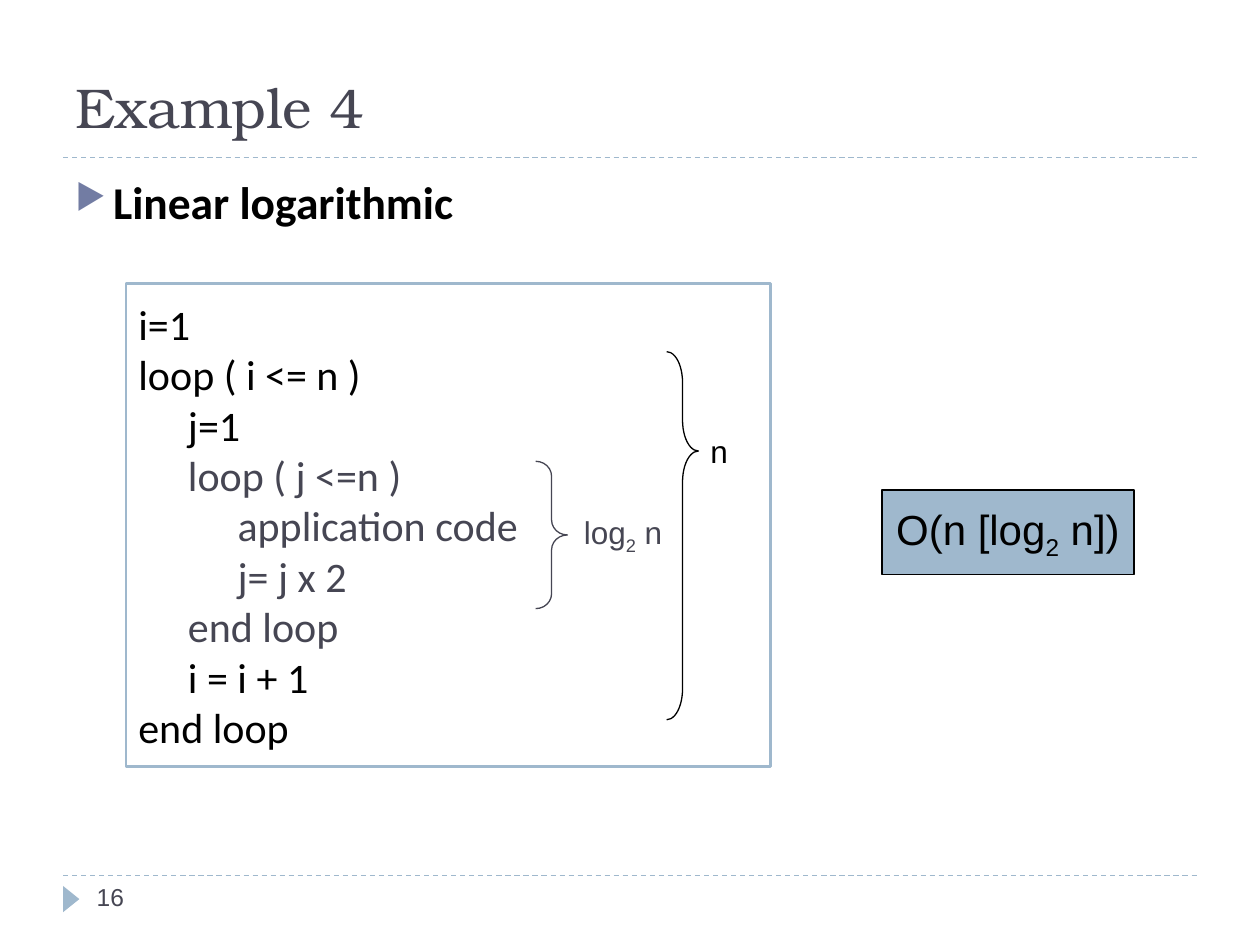
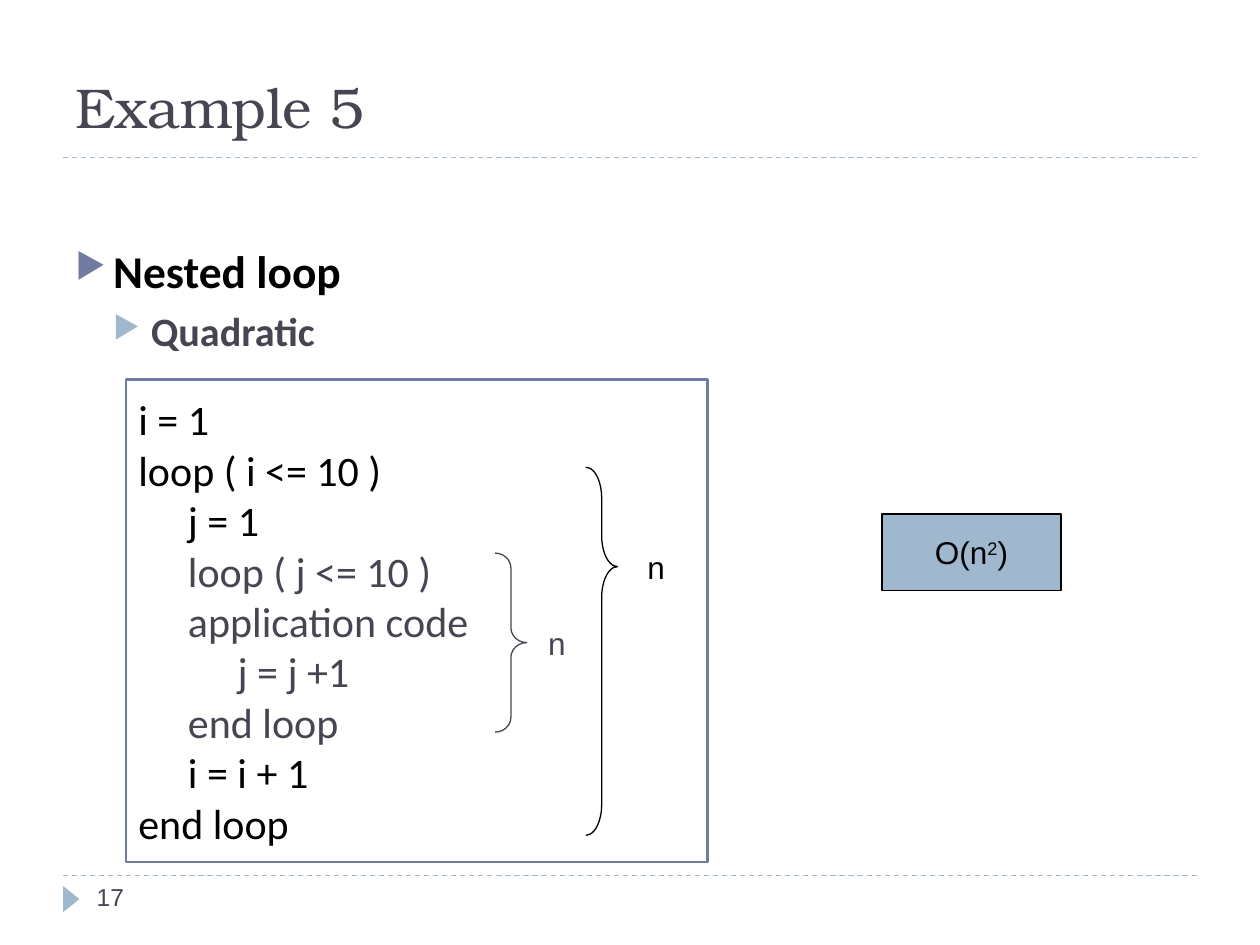
from lxml.etree import SubElement
from pptx import Presentation
from pptx.dml.color import RGBColor
from pptx.enum.dml import MSO_LINE
from pptx.enum.shapes import MSO_CONNECTOR, MSO_SHAPE
from pptx.enum.text import MSO_ANCHOR as ANCHOR, PP_ALIGN as ALIGN
from pptx.oxml.ns import qn
from pptx.util import Cm, Pt

INK = "464653"
BLACK = "000000"
WHITE = "FFFFFF"
STEEL = "9FB8CD"
SLATE = "727CA3"
TITLE_FONT = "TeX Gyre Bonum"
CODE_FONT = "Calibri"
LABEL_FONT = "Arial"
LABEL_H = 1.02
BRACE_W = 0.64


def rgb(value):
    return RGBColor.from_string(value)


def add_run(p, text, size, font, color, bold=False, baseline=0):
    r = p.add_run()
    r.text = text
    r.font.size = Pt(size)
    r.font.name = font
    r.font.bold = bold
    r.font.color.rgb = rgb(color)
    if baseline:
        r._r.get_or_add_rPr().set("baseline", str(baseline * 1000))


def add_parts(p, parts, size, color):
    for text, baseline in parts:
        add_run(p, text, size, LABEL_FONT, color, baseline=baseline)


def add_text(s, x, y, w, h, anchor=ANCHOR.TOP):
    tf = s.shapes.add_textbox(Cm(x), Cm(y), Cm(w), Cm(h)).text_frame
    tf.word_wrap = True
    tf.vertical_anchor = anchor
    return tf


def add_shape(s, kind, x, y, w, h, fill=None, line=None, width=0.75):
    sp = s.shapes.add_shape(kind, Cm(x), Cm(y), Cm(w), Cm(h))
    sp.shadow.inherit = False
    if fill:
        sp.fill.solid()
        sp.fill.fore_color.rgb = rgb(fill)
    else:
        sp.fill.background()
    if line:
        sp.line.color.rgb = rgb(line)
        sp.line.width = Pt(width)
    else:
        sp.line.fill.background()
    return sp


def add_rule(s, y):
    line = s.shapes.add_connector(
        MSO_CONNECTOR.STRAIGHT, Cm(1.27), Cm(y), Cm(24.13), Cm(y))
    line.line.color.rgb = rgb(STEEL)
    line.line.width = Pt(0.75)
    line.line.dash_style = MSO_LINE.DASH
    SubElement(line._element.spPr, qn("a:effectLst"))


def add_base(prs, title, number):
    s = prs.slides.add_slide(prs.slide_layouts[6])
    add_rule(s, 17.65)
    add_rule(s, 3.18)
    marker = add_shape(s, MSO_SHAPE.ISOSCELES_TRIANGLE,
                       1.17, 17.96, 0.53, 0.33, STEEL)
    marker.rotation = 90
    tf = add_text(s, 1.27, 0.33, 20.96, 2.62, ANCHOR.BOTTOM)
    add_run(tf.paragraphs[0], title, 32, TITLE_FONT, INK)
    tf = add_text(s, 1.7, 17.65, 5.51, LABEL_H)
    add_run(tf.paragraphs[0], str(number), 14, LABEL_FONT, INK)
    return s


def indent(p, left, first=0):
    pPr = p._p.get_or_add_pPr()
    pPr.set("marL", str(Cm(left)))
    pPr.set("indent", str(Cm(first)))
    return pPr


def add_bullets(s, y, items):
    styles = [(26, BLACK, SLATE, 6), (23, INK, STEEL, 5)]
    tf = add_text(s, 1.27, y, 22.43, 13)
    for level, text in enumerate(items):
        size, color, bullet, before = styles[level]
        p = tf.paragraphs[0] if level == 0 else tf.add_paragraph()
        p.level = level
        p.space_before = Pt(before)
        pPr = indent(p, 0.76 * (level + 1), -0.76)
        clr = SubElement(pPr, qn("a:buClr"))
        SubElement(clr, qn("a:srgbClr"), val=bullet)
        SubElement(pPr, qn("a:buSzPct"), val="76000")
        SubElement(pPr, qn("a:buChar"), char="▶")
        add_run(p, text, size, CODE_FONT, color, bold=True)


def add_code(s, y, w, border, lines):
    sp = add_shape(s, MSO_SHAPE.RECTANGLE, 2.54, y, w, 9.73,
                   WHITE, border, 1.5)
    tf = sp.text_frame
    tf.word_wrap = True
    tf.vertical_anchor = ANCHOR.MIDDLE
    for i, (depth, text) in enumerate(lines):
        p = tf.paragraphs[0] if i == 0 else tf.add_paragraph()
        p.alignment = ALIGN.LEFT
        indent(p, depth)
        add_run(p, text, 24, CODE_FONT, INK if 3 <= i <= 6 else BLACK)


def add_brace(s, x, y, h, curve, tip, color, label_x, parts):
    sp = add_shape(s, MSO_SHAPE.RIGHT_BRACE, x, y, BRACE_W, h, line=color)
    sp.adjustments[0] = curve
    sp.adjustments[1] = tip
    tf = add_text(s, label_x, y + tip * h - LABEL_H / 2, 2.5, LABEL_H,
                  ANCHOR.MIDDLE)
    tf.word_wrap = False
    add_parts(tf.paragraphs[0], parts, 18, color)


def add_inner_brace(s, x, y, h, label_x, parts):
    add_brace(s, x, y, h, 0.47, 0.5, INK, label_x, parts)


def add_outer_brace(s, x, y, label_x):
    add_brace(s, x, y, 7.42, 0.97, 0.27, BLACK, label_x, [("n", 0)])


def add_result(s, y, w, h, size, parts):
    sp = add_shape(s, MSO_SHAPE.RECTANGLE, 17.78, y, w, h, STEEL, BLACK)
    tf = sp.text_frame
    tf.word_wrap = False
    tf.vertical_anchor = ANCHOR.MIDDLE
    p = tf.paragraphs[0]
    p.alignment = ALIGN.CENTER
    p.space_before = Pt(6)
    add_parts(p, parts, size, BLACK)


def linear_logarithmic(prs):
    s = add_base(prs, "Example 4", 16)
    add_bullets(s, 3.38, ["Linear logarithmic"])
    add_code(s, 5.72, 13, STEEL, [
        (0, "i=1"), (0, "loop ( i <= n )"), (1, "j=1"),
        (1, "loop ( j <=n )"), (2, "application code"), (2, "j= j x 2"),
        (1, "end loop"), (1, "i = i + 1"), (0, "end loop")])
    add_result(s, 9.88, 5.08, 1.7, 24,
               [("O(n [log", 0), ("2", -25), (" n])", 0)])
    add_inner_brace(s, 10.8, 9.3, 2.97, 11.52,
                    [("log", 0), ("2", -25), (" n", 0)])
    add_outer_brace(s, 13.44, 7.09, 14.07)


def quadratic(prs):
    s = add_base(prs, "Example 5", 17)
    add_bullets(s, 4.78, ["Nested loop", "Quadratic"])
    add_code(s, 7.65, 11.73, SLATE, [
        (0, "i = 1"), (0, "loop ( i <= 10 )"), (1, "j = 1"),
        (1, "loop ( j <= 10 )"), (1, "application code"), (2, "j = j +1"),
        (1, "end loop"), (1, "i = i + 1"), (0, "end loop")])
    add_result(s, 10.36, 3.61, 1.55, 18, [("O(n", 0), ("2", 30), (")", 0)])
    add_inner_brace(s, 9.98, 11.15, 3.61, 10.8, [("n", 0)])
    add_outer_brace(s, 11.81, 9.42, 12.8)


def main():
    prs = Presentation()
    prs.slide_width = Cm(25.4)
    prs.slide_height = Cm(19.05)
    linear_logarithmic(prs)
    quadratic(prs)
    prs.save("out.pptx")


main()
